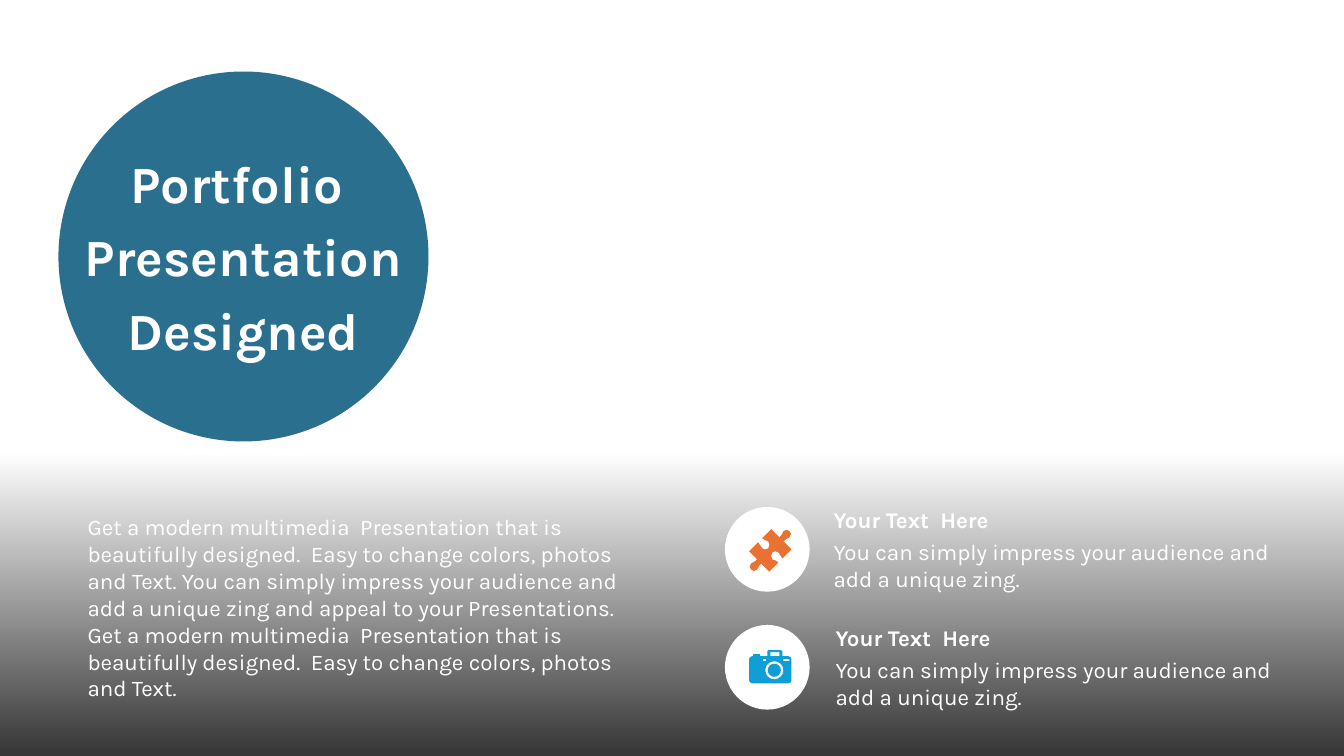
"""Build the portfolio slide with a title disc, a text block and two icon features."""
from dataclasses import dataclass, field

from pptx import Presentation
from pptx.dml.color import RGBColor
from pptx.enum.shapes import MSO_SHAPE as SHAPE
from pptx.enum.text import MSO_ANCHOR as ANCHOR
from pptx.enum.text import MSO_AUTO_SIZE as AUTO_SIZE
from pptx.enum.text import PP_ALIGN as ALIGN
from pptx.oxml.ns import qn
from pptx.shapes.autoshape import Shape
from pptx.shapes.shapetree import GroupShapes, SlideShapes
from pptx.util import Emu, Pt

PX = 9144
WHITE = RGBColor(0xFF, 0xFF, 0xFF)
BLACK = RGBColor(0x00, 0x00, 0x00)
TEAL = RGBColor(0x15, 0x60, 0x82)
ORANGE = RGBColor(0xE9, 0x71, 0x32)
BLUE = RGBColor(0x0F, 0x9E, 0xD5)

Segment = tuple[float, ...]
Contour = list[Segment]

BODY = {"name": "Karla", "size": Pt(16), "bold": False}
HEADING = {"name": "Karla", "size": Pt(16), "bold": True}
TITLE = {"name": "Karla", "size": Pt(37.3), "bold": True}
FRAME = {"word_wrap": True, "vertical_anchor": ANCHOR.MIDDLE}

INTRO = (
    "Get a modern multimedia  Presentation that is beautifully designed.  "
    "Easy to change colors, photos and Text. You can simply impress your audience "
    "and add a unique zing and appeal to your Presentations. "
    "Get a modern multimedia  Presentation that is beautifully designed.  "
    "Easy to change colors, photos and Text."
)

PUZZLE_CENTER = (764, 546)
PUZZLE_HALF = [
    (783, 527), (785, 528, 785, 531, 783, 533), (781, 535, 779, 534, 777, 537),
    (785, 545), (776, 554), (773, 552, 775, 550, 772, 548),
    (770, 546, 768, 547, 766, 548), (765, 550, 764, 553, 766, 555),
    (769, 557, 770, 555, 772, 558), (763, 567), (755, 559),
    (752, 561, 753, 562, 751, 565), (749, 567, 746, 567, 745, 565),
]
CAMERA_BODY = [
    (762, 645), (774, 645), (775, 645, 776, 646, 776, 646), (776, 651), (782, 651),
    (784, 651, 785, 653, 785, 654), (785, 675), (785, 676, 784, 678, 782, 678),
    (746, 678), (744, 678, 743, 676, 743, 675), (743, 654),
    (743, 653, 744, 651, 746, 651), (747, 651), (747, 649), (754, 649), (754, 651),
    (761, 651), (761, 646), (761, 646, 761, 645, 762, 645),
]
CAMERA_WINDOWS = [(757, 654, 3, 2), (777, 654, 6, 2), (764, 647, 9, 4)]
LENS_CENTER = (768, 665)


@dataclass(frozen=True)
class Box:
    """Place and size in px."""
    left: int
    top: int
    width: int
    height: int

    def emu(self) -> tuple[Emu, ...]:
        """Return the four lengths in EMU."""
        return tuple(Emu(v * PX) for v in (self.left, self.top, self.width, self.height))


@dataclass(frozen=True)
class TextBlock:
    """Paragraphs that share one format."""
    box: Box
    lines: tuple[str, ...]
    font: dict[str, object]
    frame: dict[str, object] = field(
        default_factory=lambda: FRAME | {"auto_size": AUTO_SIZE.SHAPE_TO_FIT_TEXT})
    align: ALIGN = ALIGN.LEFT
    gap: float = 0


@dataclass(frozen=True)
class Feature:
    """White disc with an icon, a heading and a sentence."""
    top: int
    text_left: int
    color: RGBColor
    contours: list[Contour]


def ring(center: tuple[int, int], radius: float) -> Contour:
    """Return a circle of four cubic curves."""
    (x, y), r, k = center, radius, 0.55 * radius
    return [(x, y - r), (x + k, y - r, x + r, y - k, x + r, y),
            (x + r, y + k, x + k, y + r, x, y + r),
            (x - k, y + r, x - r, y + k, x - r, y),
            (x - r, y - k, x - k, y - r, x, y - r)]


def puzzle() -> list[Contour]:
    """Return the puzzle piece, whose halves mirror through its center."""
    mirrored = [tuple(2 * PUZZLE_CENTER[i % 2] - v for i, v in enumerate(seg))
                for seg in PUZZLE_HALF[1:]]
    return [PUZZLE_HALF + mirrored]


def camera() -> list[Contour]:
    """Return the camera body with its windows and lens."""
    windows = [[(x, y), (x, y + h), (x + w, y + h), (x + w, y)]
               for x, y, w, h in CAMERA_WINDOWS]
    return [CAMERA_BODY, *windows, ring(LENS_CENTER, 9), ring(LENS_CENTER, 6.5)]


def paint(s: Shape, colors: list[RGBColor], alphas: list[int]) -> None:
    """Fill with one color or a downward gradient, with opacity in percent."""
    s.shadow.inherit = False
    s.line.fill.background()
    if len(colors) == 1:
        s.fill.solid()
        s.fill.fore_color.rgb = colors[0]
    else:
        s.fill.gradient()
        s.fill.gradient_angle = 270
        for stop, color in zip(s.fill.gradient_stops, colors):
            stop.color.rgb = color
    for clr, alpha in zip(list(s.element.spPr.iter(qn("a:srgbClr"))), alphas):
        if alpha < 100:
            clr.append(clr.makeelement(qn("a:alpha"), {"val": str(alpha * 1000)}))


def add_preset(shapes: SlideShapes, kind: SHAPE, box: Box,
               colors: list[RGBColor], alphas: list[int]) -> None:
    """Add a filled preset shape."""
    paint(shapes.add_shape(kind, *box.emu()), colors, alphas)


def bend(s: Shape, segments: list[Segment]) -> None:
    """Turn the lines of a freeform into cubic curves where six numbers are given."""
    for line, seg in zip(list(s.element.spPr.iter(qn("a:lnTo"))), segments):
        if len(seg) == 6:
            curve = line.makeelement(qn("a:cubicBezTo"))
            for x, y in zip(seg[::2], seg[1::2]):
                place = {"x": str(round(x * PX - s.left)), "y": str(round(y * PX - s.top))}
                curve.append(curve.makeelement(qn("a:pt"), place))
            line.getparent().replace(line, curve)


def add_icon(shapes: SlideShapes, contours: list[Contour], color: RGBColor) -> None:
    """Add one outline made of several closed contours."""
    ends = [[(seg[-2] * PX, seg[-1] * PX) for seg in contour] for contour in contours]
    builder = shapes.build_freeform(*ends[0][0], scale=1.0)
    for i, points in enumerate(ends):
        if i:
            builder.move_to(*points[0])
        builder.add_line_segments(points[1:], close=True)
    s = builder.convert_to_shape()
    bend(s, [seg for contour in contours for seg in contour[1:]])
    paint(s, [color], [100])


def add_text(shapes: SlideShapes | GroupShapes, block: TextBlock) -> None:
    """Add a text box with white text."""
    tf = shapes.add_textbox(*block.box.emu()).text_frame
    for name, value in block.frame.items():
        setattr(tf, name, value)
    for i, line in enumerate(block.lines):
        p = tf.add_paragraph() if i else tf.paragraphs[0]
        p.alignment = block.align
        if i and block.gap:
            p.space_before = Pt(block.gap)
        r = p.add_run()
        r.text = line
        for name, value in block.font.items():
            setattr(r.font, name, value)
        r.font.color.rgb = WHITE


def add_feature(shapes: SlideShapes, feature: Feature) -> None:
    """Add a disc, its icon and its grouped texts."""
    add_preset(shapes, SHAPE.OVAL, Box(719, feature.top, 84, 84), [WHITE], [100])
    add_icon(shapes, feature.contours, feature.color)
    group = shapes.add_group_shape().shapes
    sentence = "You can simply impress your audience and add a unique zing."
    for offset, height, line, font in ((26, 64, sentence, BODY),
                                       (-6, 37, "Your Text  Here", HEADING)):
        box = Box(feature.text_left, feature.top + offset, 456, height)
        add_text(group, TextBlock(box, (line,), font))


def main() -> None:
    """Draw and save the slide."""
    prs = Presentation()
    prs.slide_width, prs.slide_height = Emu(1333 * PX), Emu(750 * PX)
    shapes = prs.slides.add_slide(prs.slide_layouts[6]).shapes
    add_preset(shapes, SHAPE.RECTANGLE, Box(0, 449, 1333, 301), [BLACK, BLACK], [0, 80])
    add_preset(shapes, SHAPE.OVAL, Box(58, 71, 367, 367), [TEAL], [90])
    add_text(shapes, TextBlock(Box(63, 133, 357, 242), ("Portfolio ", "Presentation", "Designed"),
                               TITLE, FRAME, ALIGN.CENTER, 7.5))
    add_text(shapes, TextBlock(Box(77, 503, 546, 199), (INTRO,), BODY))
    for feature in (Feature(503, 817, ORANGE, puzzle()), Feature(620, 819, BLUE, camera())):
        add_feature(shapes, feature)
    prs.save("out.pptx")


if __name__ == "__main__":
    main()
